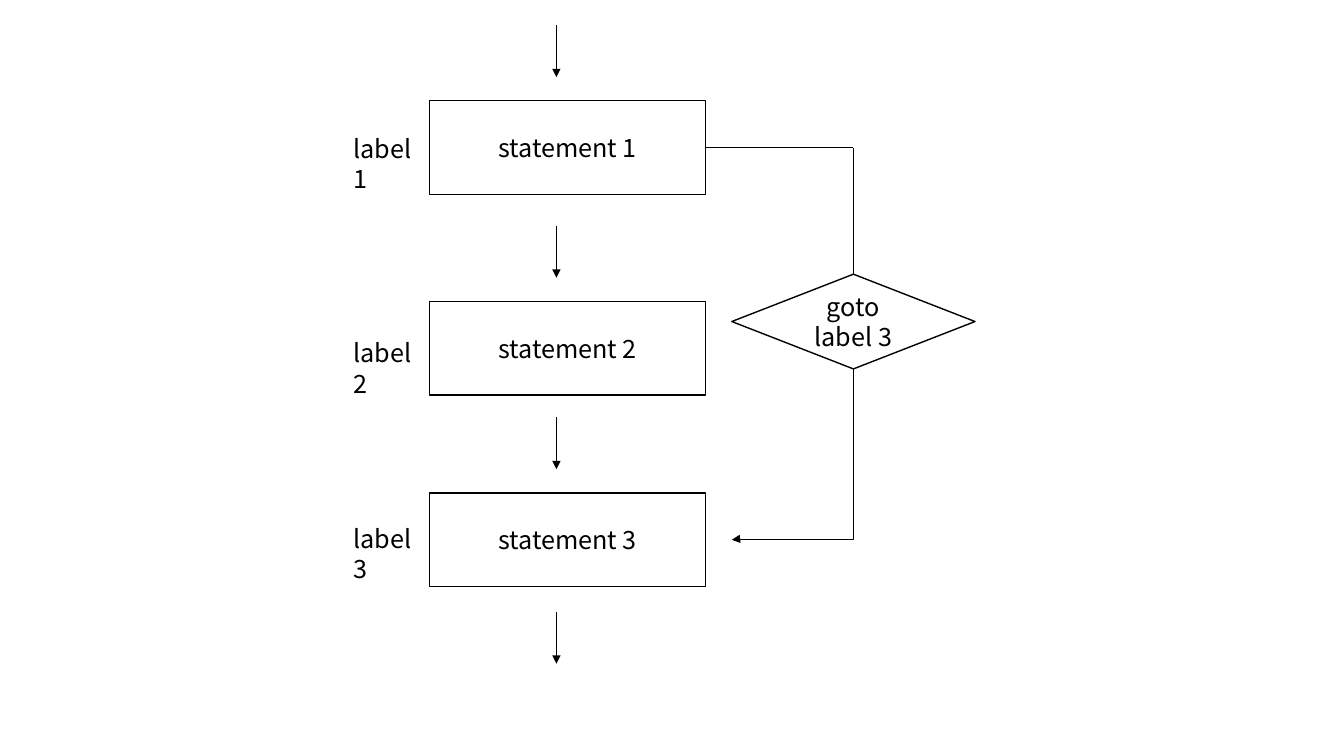
from dataclasses import dataclass

from lxml.etree import SubElement
from pptx import Presentation
from pptx.dml.color import RGBColor
from pptx.enum.shapes import MSO_CONNECTOR, MSO_SHAPE
from pptx.enum.text import MSO_ANCHOR, MSO_AUTO_SIZE, PP_ALIGN
from pptx.oxml.ns import qn
from pptx.util import Inches, Pt


@dataclass(frozen=True)
class Theme:
    """Colours, type and line widths of the flowchart."""
    ink: RGBColor = RGBColor(0, 0, 0)
    paper: RGBColor = RGBColor(255, 255, 255)
    font: str = "Noto Sans CJK SC"
    size: Pt = Pt(18)
    outline: Pt = Pt(1)
    flow: Pt = Pt(0.5)


THEME = Theme()
WIDTH, HEIGHT = Inches(13.33), Inches(7.5)
STEP_LEFT, STEP_W, STEP_H = 31.95, 20.55, 12.4
STEP_TOPS = (13.33, 39.87, 65.2)
LABEL_TOPS = (16.93, 44, 68.53)
LABEL_LEFT, LABEL_W, LABEL_H = 25.55, 6.38, 5.33
ARROW_X, ARROW_H, ARROW_LEAD, EXIT_TOP = 41.4, 6.87, 10, 80.93
GOTO_LEFT, GOTO_TOP, GOTO_W, GOTO_H = 54.45, 36.27, 18.1, 12.53


def x(share):
    """Turn a percentage of the slide's width into a length."""
    return round(WIDTH * share / 100)


def y(share):
    """Turn a percentage of the slide's height into a length."""
    return round(HEIGHT * share / 100)


def write(tf, text, align):
    """Fill a text frame with text in the theme's type."""
    tf.word_wrap = True
    tf.text = text
    for p in tf.paragraphs:
        p.alignment = align
        for r in p.runs:
            r.font.name = THEME.font
            r.font.size = THEME.size
            r.font.color.rgb = THEME.ink


def add_node(s, kind, left, top, width, height, text):
    """Add an outlined flowchart node with centred text."""
    sp = s.shapes.add_shape(kind, x(left), y(top), x(width), y(height))
    sp.shadow.inherit = False
    sp.fill.solid()
    sp.fill.fore_color.rgb = THEME.paper
    sp.line.color.rgb = THEME.ink
    sp.line.width = THEME.outline
    sp.text_frame.vertical_anchor = MSO_ANCHOR.MIDDLE
    write(sp.text_frame, text, PP_ALIGN.CENTER)
    return sp


def add_label(s, top, text):
    """Add a label to the left of a step."""
    box = s.shapes.add_textbox(x(LABEL_LEFT), y(top), x(LABEL_W), y(LABEL_H))
    write(box.text_frame, text, PP_ALIGN.LEFT)
    box.text_frame.auto_size = MSO_AUTO_SIZE.SHAPE_TO_FIT_TEXT


def add_flow(s, kind, start, end, arrow=True):
    """Add a thin connector, with an arrowhead at its end if wanted."""
    cxn = s.shapes.add_connector(kind, *start, *end)
    cxn.line.color.rgb = THEME.ink
    cxn.line.width = THEME.flow
    if arrow:
        SubElement(cxn.line._get_or_add_ln(), qn("a:tailEnd"), type="triangle")
    SubElement(cxn._element.spPr, qn("a:effectLst"))
    return cxn


def add_down_arrow(s, top):
    """Add a vertical arrow on the main flow."""
    add_flow(s, MSO_CONNECTOR.STRAIGHT, (x(ARROW_X), y(top)),
             (x(ARROW_X), y(top + ARROW_H)))


def add_jump(s, left, top, right, bottom):
    """Add an elbow that drops from the top right and turns to the bottom left."""
    mid_x, mid_y = (left + right) // 2, (top + bottom) // 2
    half_w, half_h = (bottom - top) // 2, (right - left) // 2
    cxn = add_flow(s, MSO_CONNECTOR.ELBOW, (mid_x - half_w, mid_y - half_h),
                   (mid_x + half_w, mid_y + half_h))
    spPr = cxn._element.spPr
    spPr.find(qn("a:xfrm")).set("rot", "5400000")
    adjustments = spPr.find(qn("a:prstGeom")).find(qn("a:avLst"))
    SubElement(adjustments, qn("a:gd"), name="adj1", fmla="val 99800")


def main():
    """Build the goto flowchart."""
    prs = Presentation()
    prs.slide_width, prs.slide_height = WIDTH, HEIGHT
    s = prs.slides.add_slide(prs.slide_layouts[6])

    steps = []
    for i, top in enumerate(STEP_TOPS, 1):
        add_down_arrow(s, top - ARROW_LEAD)
        steps.append(add_node(s, MSO_SHAPE.FLOWCHART_PROCESS, STEP_LEFT, top,
                              STEP_W, STEP_H, f"statement {i}"))
    add_down_arrow(s, EXIT_TOP)

    jump_x = x(GOTO_LEFT + GOTO_W / 2)
    first_mid, last_mid = (y(STEP_TOPS[i] + STEP_H / 2) for i in (0, -1))
    add_jump(s, x(GOTO_LEFT), first_mid, jump_x, last_mid)
    branch = add_flow(s, MSO_CONNECTOR.STRAIGHT,
                      (x(STEP_LEFT + STEP_W), first_mid), (jump_x, first_mid), False)
    branch.begin_connect(steps[0], 3)
    add_node(s, MSO_SHAPE.FLOWCHART_DECISION, GOTO_LEFT, GOTO_TOP, GOTO_W, GOTO_H,
             "goto\nlabel 3")

    for i, top in enumerate(LABEL_TOPS, 1):
        add_label(s, top, f"label{i}")
    prs.save("out.pptx")


if __name__ == "__main__":
    main()
